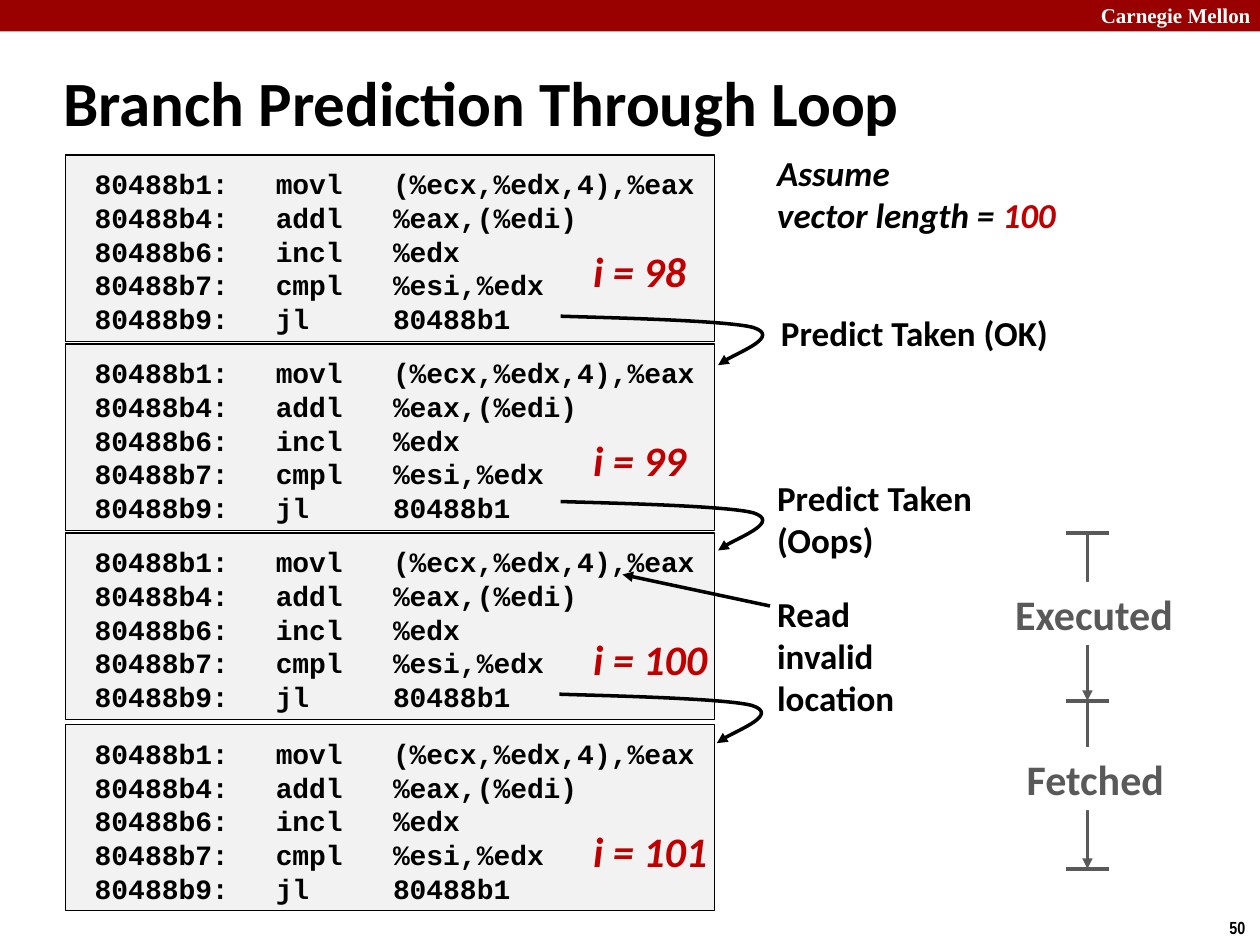
"""Build the slide on branch prediction through a loop."""
import dataclasses

import pptx
import pptx.dml.color
import pptx.enum.shapes
import pptx.enum.text
import pptx.oxml
import pptx.oxml.ns
import pptx.util

Pt = pptx.util.Pt
Color = pptx.dml.color.RGBColor.from_string
Anchor = pptx.enum.text.MSO_ANCHOR
Fit = pptx.enum.text.MSO_AUTO_SIZE
Shape = pptx.enum.shapes.MSO_SHAPE
Line = pptx.enum.shapes.MSO_CONNECTOR


@dataclasses.dataclass(frozen=True)
class Theme:
    """Colours, line widths and text formats."""
    black: str = "000000"
    white: str = "FFFFFF"
    band: str = "990000"
    red: str = "C00000"
    gray: str = "595959"
    pale: str = "F2F2F2"
    thin: float = 0.75
    thick: float = 2

    def font(self, size, color=None, name="Calibri", italic=False):
        """Give a dict of font values."""
        return {"size": Pt(size), "color": color or self.black,
                "name": name, "bold": True, "italic": italic}


class Deck:
    """Hold the theme and the current slide, and draw on it."""

    def __init__(self, theme, wide, high):
        """Start a file with one title-only slide."""
        self.theme = theme
        self.file = pptx.Presentation()
        self.file.slide_width, self.file.slide_height = Pt(wide), Pt(high)
        self.slide = self.file.slides.add_slide(self.file.slide_layouts[5])
        self.shapes = self.slide.shapes

    def style(self, font, look):
        """Set font values from a dict."""
        for key, value in look.items():
            if key == "color":
                font.color.rgb = Color(value)
            else:
                setattr(font, key, value)

    def label(self, frame, lines, look, wrap=False, tabs=(), **form):
        """Fill a frame; each line is a string or a list of text and format pairs."""
        values = {"word_wrap": wrap, "auto_size": Fit.SHAPE_TO_FIT_TEXT,
                  "vertical_anchor": Anchor.TOP, **form}
        for key, value in values.items():
            setattr(frame, key, value)
        for index, line in enumerate(lines):
            para = frame.add_paragraph() if index else frame.paragraphs[0]
            para.alignment = pptx.enum.text.PP_ALIGN.LEFT
            if tabs:
                stops = self.node(para._p.get_or_add_pPr(), "a:tabLst")
                for stop in tabs:
                    self.node(stops, "a:tab", pos=Pt(stop), algn="l")
            for text, extra in [(line, {})] if isinstance(line, str) else line:
                run = para.add_run()
                run.text = text
                self.style(run.font, {**look, **extra})

    def node(self, base, tag, **values):
        """Add an XML child with the given values."""
        child = pptx.oxml.parse_xml(f"<{tag} {pptx.oxml.ns.nsdecls('a')}/>")
        for key, value in values.items():
            child.set(key, str(value))
        base.append(child)
        return child

    def title(self, text, place, look):
        """Move and fill the title."""
        shape = self.shapes.title
        for key, value in zip(("left", "top", "width", "height"), place):
            setattr(shape, key, Pt(value))
        self.label(shape.text_frame, [text], look, wrap=True,
                   auto_size=Fit.NONE, vertical_anchor=Anchor.MIDDLE)

    def text(self, lines, place, look, **form):
        """Add a text box."""
        box = self.shapes.add_textbox(*map(Pt, place))
        self.label(box.text_frame, lines, look, **form)

    def box(self, place, fill, edge=None):
        """Add a plain rectangle."""
        shape = self.shapes.add_shape(Shape.RECTANGLE, *map(Pt, place))
        shape.shadow.inherit = False
        shape.fill.solid()
        shape.fill.fore_color.rgb = Color(fill)
        if edge:
            self.stroke(shape, edge, self.theme.thin)
        else:
            shape.line.fill.background()
        return shape

    def stroke(self, shape, color, width, head=False):
        """Format a line, with an arrowhead if asked."""
        shape.line.color.rgb = Color(color)
        shape.line.width = Pt(width)
        if head:
            self.node(shape.line._get_or_add_ln(), "a:tailEnd", type="triangle")

    def line(self, start, end, color, head=False):
        """Add a straight line."""
        rule = self.shapes.add_connector(Line.STRAIGHT, *map(Pt, start + end))
        self.stroke(rule, color, self.theme.thick, head)
        self.node(rule._element.spPr, "a:effectLst")

    def curve(self, points, color):
        """Add a curved arrow, each three points after the first being one cubic."""
        spots = [(Pt(x), Pt(y)) for x, y in points]
        pen = self.shapes.build_freeform(*spots[0])
        pen.add_line_segments(spots[1:], close=False)
        shape = pen.convert_to_shape()
        shape.shadow.inherit = False
        shape.fill.background()
        self.stroke(shape, color, self.theme.thick, head=True)
        steps = shape._element.findall(".//" + pptx.oxml.ns.qn("a:lnTo"))
        track = steps[0].getparent()
        for index, step in enumerate(steps):
            if index % 3 == 0:
                cubic = self.node(track, "a:cubicBezTo")
            cubic.append(step[0])
            track.remove(step)


CODE = [" 80488b1:\tmovl   (%ecx,%edx,4),%eax",
        " 80488b4:\taddl   %eax,(%edi)",
        " 80488b6:\tincl   %edx",
        " 80488b7:\tcmpl   %esi,%edx",
        " 80488b9:\tjl     80488b1"]
TABS = (54, 113, 283.7, 368.6)
BLOCKS = [(88.5, "i = 98", 136.8), (196.5, "i = 99", 244.8),
          (304.5, "i = 100", 358.6), (414, "i = 101", 468)]
BEND = [(0, 0), (18.7, 0.7), (95, 2.2), (110.2, 6.5),
        (125.3, 11.5), (94.3, 23.8), (90, 28)]
JUMPS = [(320.4, 180.7), (320.4, 286.6), (319.7, 396.7)]
MARKS = [304.5, 400.5, 496.5]


def main():
    """Draw the slide and save it."""
    theme = Theme()
    deck = Deck(theme, 720, 540)
    note = theme.font(20)
    count = theme.font(24, theme.red, italic=True)
    phase = theme.font(24, theme.gray)
    code = theme.font(16, name="Courier New")

    deck.box((0, 0, 720, 18), theme.band)
    deck.text(["Carnegie Mellon"], (622, -2, 103, 21.6),
              theme.font(12, theme.white, "Times New Roman"), wrap=True)
    deck.text(["50"], (695.5, 520.5, 24.5, 19.5), theme.font(10, name="Arial Narrow"))
    deck.title("Branch Prediction Through Loop", (28.8, 35.3, 618.5, 45.4), theme.font(36))

    for top, label, drop in BLOCKS:
        block = deck.box((37.5, top, 370.8, 106.5), theme.pale, theme.black)
        deck.label(block.text_frame, CODE, code, tabs=TABS, vertical_anchor=Anchor.BOTTOM)
        for para in block.text_frame.paragraphs:
            para.line_spacing = Pt(19.25)
        deck.text([label], (331.9, drop, 80, 36), count)
    for left, top in JUMPS:
        deck.curve([(left + x, top + y) for x, y in BEND], theme.black)

    deck.text(["Assume", [("vector length = ", {}), ("100", {"color": theme.red})]],
              (437, 82.8, 175, 55.4), {**note, "italic": True})
    deck.text(["Predict Taken (OK)"], (439.2, 174.2, 168.5, 31.7), note)
    deck.text(["Predict Taken", "(Oops)"], (437, 268.6, 126.7, 55.4), note)
    deck.text(["Read invalid location"], (437, 334.8, 102.2, 80), note, wrap=True)
    deck.line((440, 346.3), (355.7, 328.3), theme.black, head=True)

    for start, end in zip(MARKS, MARKS[1:]):
        deck.line((621.4, start), (621.4, end), theme.gray, head=True)
    for label, place in [("Executed", (573, 332.6, 106, 36)),
                         ("Fetched", (579.6, 427, 93.6, 36))]:
        deck.label(deck.box(place, theme.white).text_frame, [label], phase)
    for mark in MARKS:
        deck.line((609, mark), (633.6, mark), theme.gray)
    deck.file.save("out.pptx")


if __name__ == "__main__":
    main()
